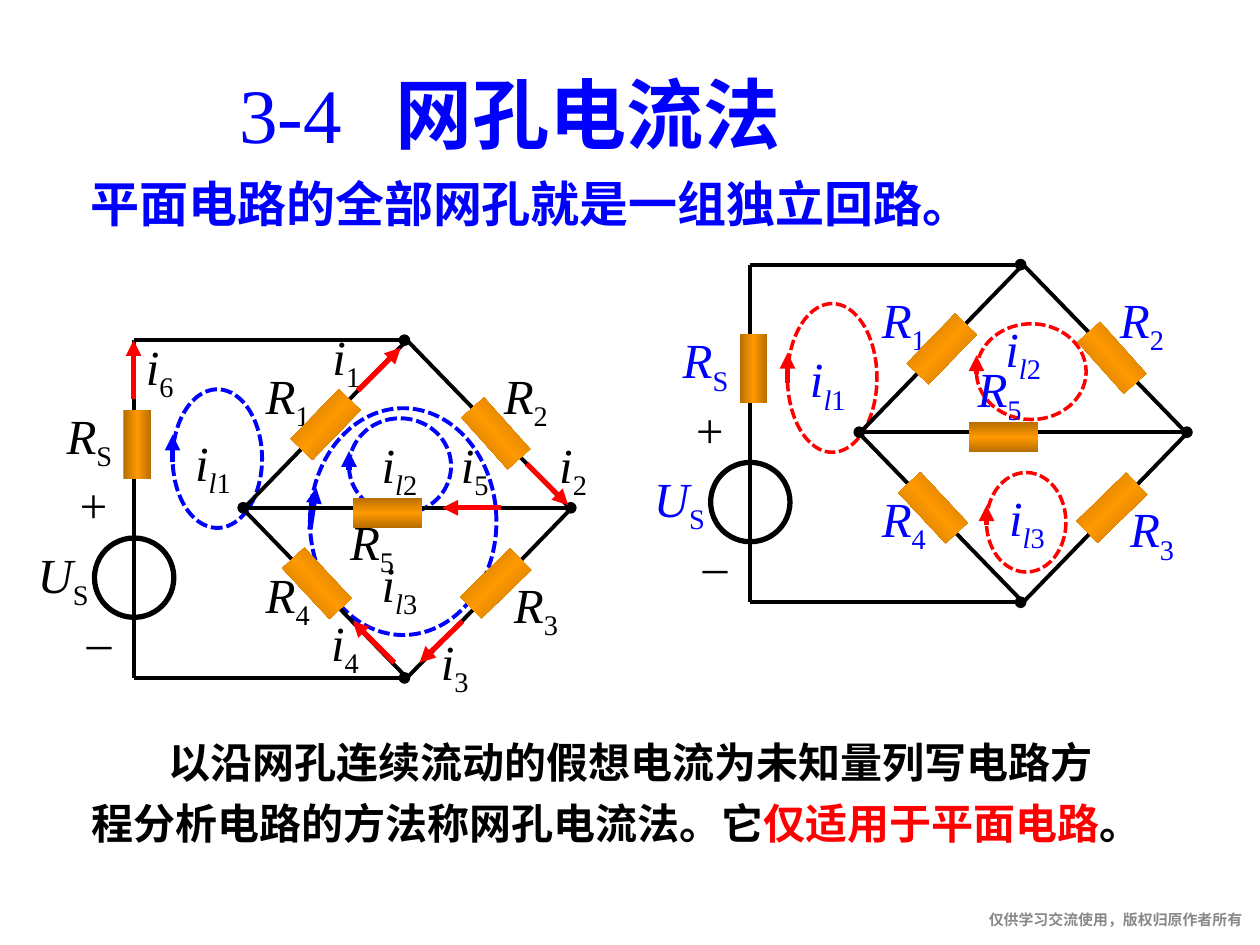
from copy import deepcopy

from lxml import etree
from pptx import Presentation
from pptx import util as u
from pptx.dml.color import RGBColor
from pptx.enum import dml, shapes, text
from pptx.oxml import ns

BLUE = RGBColor(0x00, 0x00, 0xFF)
RED = RGBColor(0xFF, 0x00, 0x00)
BLACK = RGBColor(0x00, 0x00, 0x00)
GRAY = RGBColor(0x88, 0x88, 0x88)
ORANGE = RGBColor(0xFF, 0x99, 0x00)
BROWN = RGBColor(0xB6, 0x6D, 0x00)
SERIF, SANS, HAN = "Times New Roman", "Arial", "Noto Sans CJK SC"
SHAPE = shapes.MSO_SHAPE
DASH = dml.MSO_LINE.SQUARE_DOT

RESISTORS = [(2.6, 1.81, 315.8), (1.18, 1.81, 47), (2.6, 0.62, 48.2),
             (1.25, 0.55, 314.1), (1.74, 1.25, 0)]
LABELS = [("R", "S", -0.63, 0.47), ("R", "4", 0.95, 1.73), ("R", "3", 2.92, 1.81),
          ("R", "1", 0.95, 0.15), ("R", "2", 2.84, 0.15), ("U", "S", -0.86, 1.57)]
SIGNS = [("+", -0.55, 1.02), ("_", -0.47, 1.97)]
CURRENTS = [("1", 1.48, -0.16), ("2", 3.28, 0.7), ("3", 2.34, 2.26),
            ("4", 1.47, 2.11), ("5", 2.5, 0.7), ("6", 0, -0.08)]
CURRENT_ARROWS = [(2.07, 2.56, 1.74, 2.23), (1.78, 0.4, 2.12, 0.06),
                  (3.12, 0.98, 3.45, 1.31), (2.61, 2.23, 2.27, 2.56),
                  (0, 0.47, 0, 0), (2.92, 1.33, 2.45, 1.33)]


def add_span(para, words, font=SERIF, size=28, color=BLACK, bold=False, italic=False, sub=False):
    """Add formatted words to a paragraph."""
    span = para.add_run()
    span.text = words
    span.font.name, span.font.size = font, u.Pt(size)
    span.font.bold, span.font.italic = bold, italic
    span.font.color.rgb = color
    properties = span._r.get_or_add_rPr()
    if sub:
        properties.set("baseline", "-25000")
    latin = properties.find(ns.qn("a:latin"))
    east = etree.Element(ns.qn("a:ea"), typeface=HAN)
    latin.addnext(east)


def add_box(parent, left, top, width, height=0.57):
    """Add a wrapping text box and return its frame."""
    frame = parent.add_textbox(*map(u.Inches, (left, top, width, height))).text_frame
    frame.word_wrap = True
    frame.auto_size = text.MSO_AUTO_SIZE.SHAPE_TO_FIT_TEXT
    return frame


def add_label(parent, left, top, symbol, index="", color=BLACK, width=0.71):
    """Add an italic symbol with a subscript index."""
    para = add_box(parent, left, top, width).paragraphs[0]
    add_span(para, symbol, color=color, italic=True)
    for letter in index:
        add_span(para, letter, color=color, italic=letter == "l", sub=True)


def add_outline(parent, kind, left, top, width, height, color=BLACK, weight=2.25, dash=None):
    """Add an unfilled preset shape."""
    outline = parent.add_shape(kind, *map(u.Inches, (left, top, width, height)))
    outline.shadow.inherit = False
    outline.fill.background()
    outline.line.color.rgb, outline.line.width = color, u.Pt(weight)
    if dash:
        outline.line.dash_style = dash


def add_line(parent, ends, color=BLACK, weight=2.25, head=None, tail=None):
    """Add a straight line with optional end marks."""
    wire = parent.add_connector(shapes.MSO_CONNECTOR.STRAIGHT, *map(u.Inches, ends))
    wire.line.color.rgb, wire.line.width = color, u.Pt(weight)
    stroke = wire.line._get_or_add_ln()
    for tag, mark in (("a:headEnd", head), ("a:tailEnd", tail)):
        if mark:
            etree.SubElement(stroke, ns.qn(tag), type=mark)
    etree.SubElement(wire._element.spPr, ns.qn("a:effectLst"))


def add_resistor(parent, left, top, width=0.55, height=0.24, turn=0, angle=90):
    """Add a resistor with a brown-orange-brown gradient."""
    body = parent.add_shape(SHAPE.RECTANGLE, *map(u.Inches, (left, top, width, height)))
    body.shadow.inherit = False
    body.rotation = turn
    body.line.fill.background()
    body.fill.gradient()
    body.fill.gradient_angle = angle
    stop_list = body._element.spPr.find(".//" + ns.qn("a:gsLst"))
    stop_list.append(deepcopy(stop_list[-1]))
    for stop, color, place in zip(body.fill.gradient_stops, (BROWN, ORANGE, BROWN), (0, 0.5, 1)):
        stop.color.rgb, stop.position = color, place


def add_mesh(parent, box, arrow, label, index, color, ink, weight):
    """Add a dashed mesh loop with its arrow and label."""
    add_label(parent, *label, "i", "l" + index, ink)
    add_outline(parent, SHAPE.OVAL, *box, color, weight, DASH)
    add_line(parent, arrow, color, 3, tail="triangle")


def add_circuit(page, left, top, ink, bridge_label):
    """Add the bridge circuit with its top-left corner at the given point."""
    parent = page.shapes.add_group_shape().shapes
    add_outline(parent, SHAPE.OVAL, left - 0.31, top + 1.57, 0.63, 0.63, weight=3)
    add_line(parent, (left, top, left, top + 2.68))
    add_line(parent, (left + 0.87, top + 1.33, left + 3.47, top + 1.33), head="oval", tail="oval")
    for level in (top, top + 2.68):
        add_line(parent, (left, level, left + 2.15, level), tail="oval")
    for symbol, index, x, y in LABELS + [("R", "5", *bridge_label)]:
        add_label(parent, left + x, top + y, symbol, index, ink)
    for sign, x, y in SIGNS:
        add_label(parent, left + x, top + y, sign, width=0.55)
    add_outline(parent, SHAPE.DIAMOND, left + 0.87, top, 2.6, 2.68)
    add_resistor(parent, left - 0.08, top + 0.55, 0.22, 0.55, angle=0)
    for x, y, turn in RESISTORS:
        add_resistor(parent, left + x, top + y, turn=turn)
    return parent


def add_currents(parent, left, top):
    """Add branch currents and their arrows to a circuit."""
    for index, x, y in CURRENTS:
        add_label(parent, left + x, top + y, "i", index, width=0.76)
    for x1, y1, x2, y2 in CURRENT_ARROWS:
        add_line(parent, (left + x1, top + y1, left + x2, top + y2), RED, 3, tail="triangle")


def add_right_diagram(page, left, top):
    """Add the circuit with red mesh currents."""
    meshes = page.shapes.add_group_shape().shapes
    for box, arrow, label, index in (
        ((6.25, 2.41, 0.71, 1.18), (6.25, 3.04, 6.25, 2.8), (6.33, 2.72), "1"),
        ((7.83, 3.75, 0.63, 0.79), (7.83, 4.17, 7.83, 4.01), (7.91, 3.82), "3"),
        ((7.75, 2.57, 0.87, 0.76), (7.75, 2.97, 7.75, 2.82), (7.88, 2.48), "2"),
    ):
        add_mesh(meshes, box, arrow, label, index, RED, BLUE, 2)
    add_circuit(page, left, top, BLUE, (1.71, 0.7))


def add_left_diagram(page, left, top):
    """Add the circuit with blue mesh currents and red branch currents."""
    meshes = page.shapes.add_group_shape().shapes
    for box, arrow, label, index in (
        ((1.37, 3.09, 0.71, 1.1), (1.37, 3.67, 1.37, 3.45), (1.45, 3.38), "1"),
        ((2.46, 3.24, 1.48, 1.8), (2.46, 4.2, 2.51, 3.87), (2.93, 4.34), "3"),
        ((2.77, 3.32, 0.81, 0.76), (2.77, 3.73, 2.77, 3.58), (2.93, 3.4), "2"),
    ):
        add_mesh(meshes, box, arrow, label, index, BLUE, BLACK, 2.25)
    circuit = add_circuit(page, left, top, BLACK, (1.62, 1.31))
    add_currents(circuit, left, top)


def add_title(page, left, top, width, height):
    """Place and format the title."""
    title = page.shapes.title
    title.left, title.top, title.width, title.height = map(u.Inches, (left, top, width, height))
    frame = title.text_frame
    frame.auto_size = text.MSO_AUTO_SIZE.NONE
    frame.vertical_anchor = text.MSO_ANCHOR.TOP
    para = frame.paragraphs[0]
    para.alignment, para.line_spacing = text.PP_ALIGN.LEFT, 0.8
    tabs = etree.SubElement(para._p.get_or_add_pPr(), ns.qn("a:tabLst"))
    etree.SubElement(tabs, ns.qn("a:tab"), pos=str(u.Inches(1.24)), algn="l")
    add_span(para, "3-4\t", size=44, color=BLUE)
    add_span(para, "网孔电流法", font=HAN, size=44, color=BLUE, bold=True)


def add_statements(page):
    """Add the lead sentence, the definition and the footer."""
    lead = add_box(page.shapes, 0.62, 1.33, 7.61).paragraphs[0]
    add_span(lead, "平面电路的全部网孔就是一组独立回路。", color=BLUE, bold=True)
    para = add_box(page.shapes, 0.63, 5.72, 8.43, 1.07).paragraphs[0]
    para.line_spacing = 1.2
    para._p.get_or_add_pPr().set("indent", str(u.Inches(0.61)))
    for words, color in (
        ("以沿网孔连续流动的假想电流为未知量列写电路方程分析电路的方法称网孔电流法。它", BLACK),
        ("仅适用于平面电路", RED), ("。", BLACK),
    ):
        add_span(para, words, font=SANS, size=24, color=color, bold=True)
    footer = add_box(page.shapes, 6.06, 7.23, 3.8, 0.22)
    footer.word_wrap = False
    footer.margin_left = footer.margin_right = footer.margin_top = footer.margin_bottom = 0
    footer.paragraphs[0].alignment = text.PP_ALIGN.RIGHT
    add_span(footer.paragraphs[0], "仅供学习交流使用，版权归原作者所有", size=8.5, color=GRAY, bold=True)


def main():
    """Build and save the deck."""
    deck = Presentation()
    deck.slide_width, deck.slide_height = u.Inches(10), u.Inches(7.5)
    page = deck.slides.add_slide(deck.slide_layouts[5])
    add_title(page, 1.8, 0.62, 7.42, 0.69)
    add_right_diagram(page, 5.95, 2.1)
    add_left_diagram(page, 1.06, 2.7)
    add_statements(page)
    deck.save("out.pptx")


if __name__ == "__main__":
    main()
